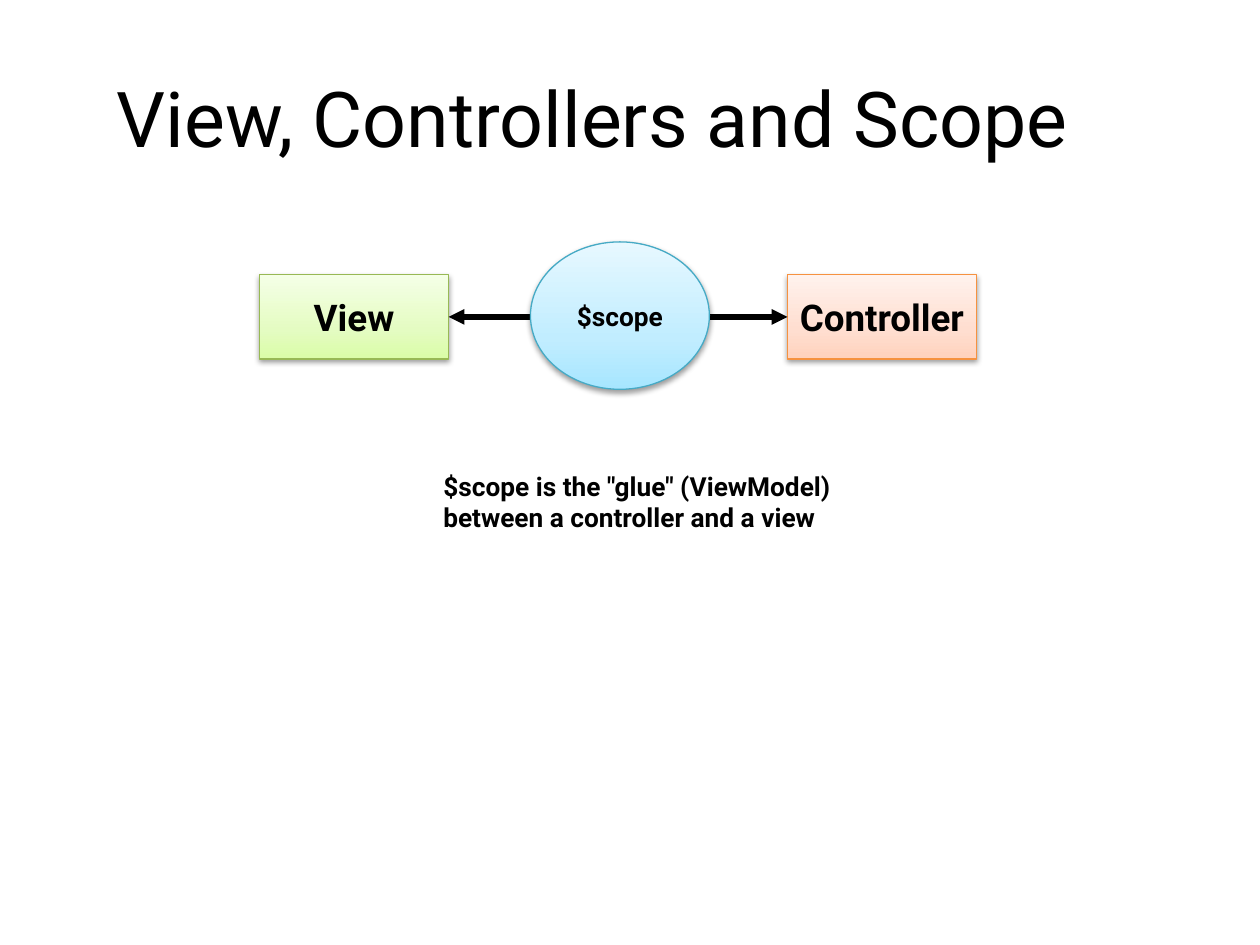
import copy

import lxml.etree
import pptx
import pptx.dml.color
import pptx.enum.shapes
import pptx.enum.text
import pptx.oxml.ns
import pptx.util

Inches = pptx.util.Inches
Pt = pptx.util.Pt
qn = pptx.oxml.ns.qn
RGB = pptx.dml.color.RGBColor.from_string
KIND = pptx.enum.shapes.MSO_SHAPE
MID = pptx.enum.text.MSO_ANCHOR.MIDDLE
LEFT = pptx.enum.text.PP_ALIGN.LEFT
MIDDLE = pptx.enum.text.PP_ALIGN.CENTER

COLORS = {
    "ink": "000000",
    "green": ("DAFDA7", "E4FCC2", "F5FFE7"),
    "green line": "98B955",
    "orange": ("FFD2BD", "FFDED0", "FFF2ED"),
    "orange line": "F69240",
    "blue": ("A7E6FF", "C1EDFF", "E7F8FF"),
    "blue line": "46AAC5",
}


def write(shape, text, size, bold, align, wrap):
    frame = shape.text_frame
    frame.word_wrap = wrap
    para = frame.paragraphs[0]
    para.text = text
    para.alignment = align
    style = {"name": "Roboto", "size": Pt(size), "bold": bold}
    for key, value in style.items():
        setattr(para.runs[0].font, key, value)
    para.runs[0].font.color.rgb = RGB(COLORS["ink"])
    return frame


def shade(shape, hue):
    """Give a shape its three-stop gradient, outline and soft shadow."""
    shape.fill.gradient()
    shape.fill.gradient_angle = 90
    stops = shape._element.spPr.find(".//" + qn("a:gsLst"))
    stops.append(copy.deepcopy(stops[0]))
    for stop, tone, place in zip(shape.fill.gradient_stops, COLORS[hue], (0, 0.35, 1)):
        stop.color.rgb = RGB(tone)
        stop.position = place
    shape.line.color.rgb = RGB(COLORS[hue + " line"])
    shape.line.width = Pt(0.75)
    shape.shadow.inherit = False
    effects = shape._element.spPr.find(qn("a:effectLst"))
    drop = lxml.etree.SubElement(
        effects, qn("a:outerShdw"), blurRad="40000", dist="20000",
        dir="5400000", rotWithShape="0")
    tint = lxml.etree.SubElement(drop, qn("a:srgbClr"), val=COLORS["ink"])
    lxml.etree.SubElement(tint, qn("a:alpha"), val="38000")


deck = pptx.Presentation()
deck.slide_width, deck.slide_height = Inches(10), Inches(7.5)
slide = deck.slides.add_slide(deck.slide_layouts[6])
shapes = slide.shapes

nodes = {}
for text, kind, x, y, w, h, size, hue in (
    ("View", KIND.RECTANGLE, 2.06, 2.18, 1.5, 0.67, 21, "green"),
    ("Controller", KIND.RECTANGLE, 6.25, 2.18, 1.5, 0.67, 21, "orange"),
    ("$scope", KIND.OVAL, 4.21, 1.92, 1.42, 1.17, 15, "blue"),
):
    node = shapes.add_shape(kind, Inches(x), Inches(y), Inches(w), Inches(h))
    shade(node, hue)
    write(node, text, size, True, MIDDLE, False).vertical_anchor = MID
    nodes[text] = node

# The arrow runs behind the ellipse, from box to box
link = shapes.add_connector(pptx.enum.shapes.MSO_CONNECTOR.STRAIGHT, 0, 0, 0, 0)
link.begin_connect(nodes["Controller"], 1)
link.end_connect(nodes["View"], 3)
link.line.color.rgb = RGB(COLORS["ink"])
link.line.width = Pt(3)
for end in ("a:headEnd", "a:tailEnd"):
    lxml.etree.SubElement(link.line._get_or_add_ln(), qn(end), type="triangle")
lxml.etree.SubElement(link._element.spPr, qn("a:effectLst"))
nodes["$scope"]._element.addprevious(link._element)

note = shapes.add_textbox(Inches(3.42), Inches(3.68), Inches(3.75), Inches(0.61))
write(note, '$scope is the "glue" (ViewModel) between a controller and a view',
      15, True, LEFT, True)

title = shapes.add_textbox(Inches(0.83), Inches(0.3), Inches(8.83), Inches(1.25))
write(title, "View, Controllers and Scope", 44, False, LEFT, True).vertical_anchor = MID

deck.save("out.pptx")
